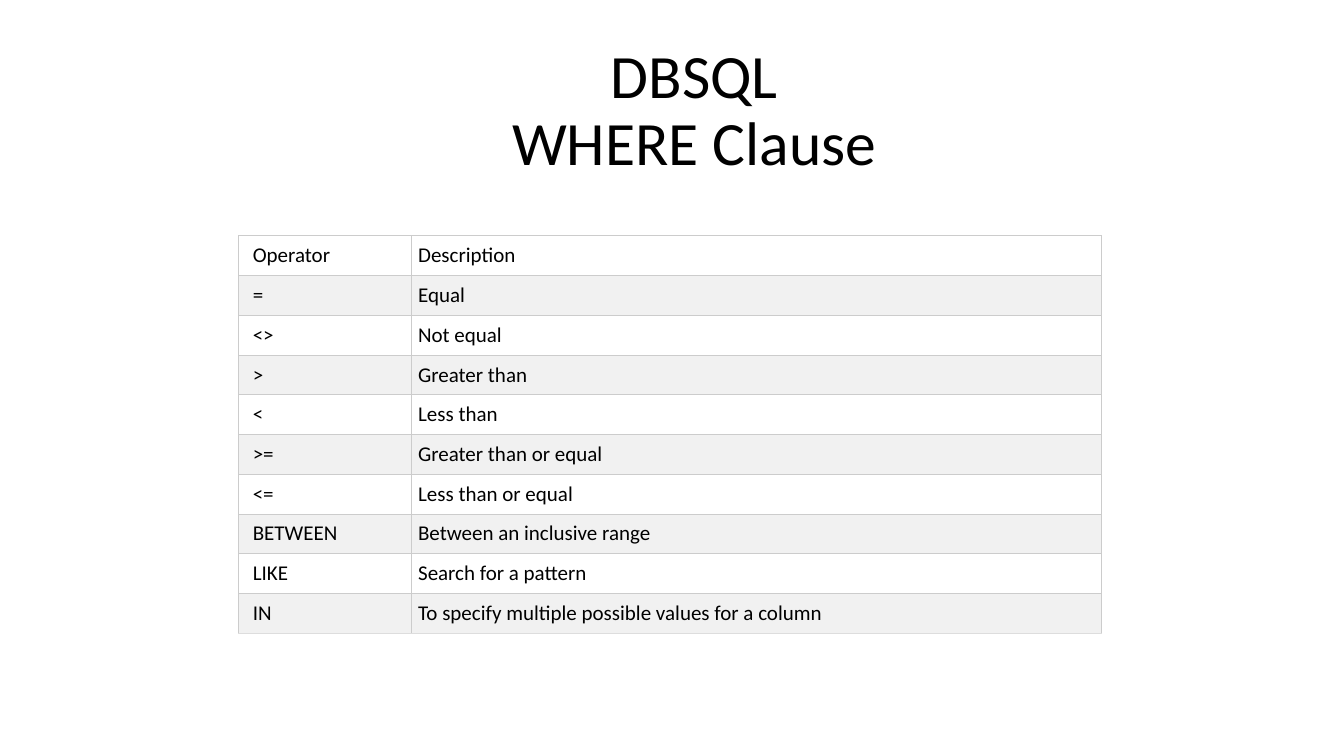
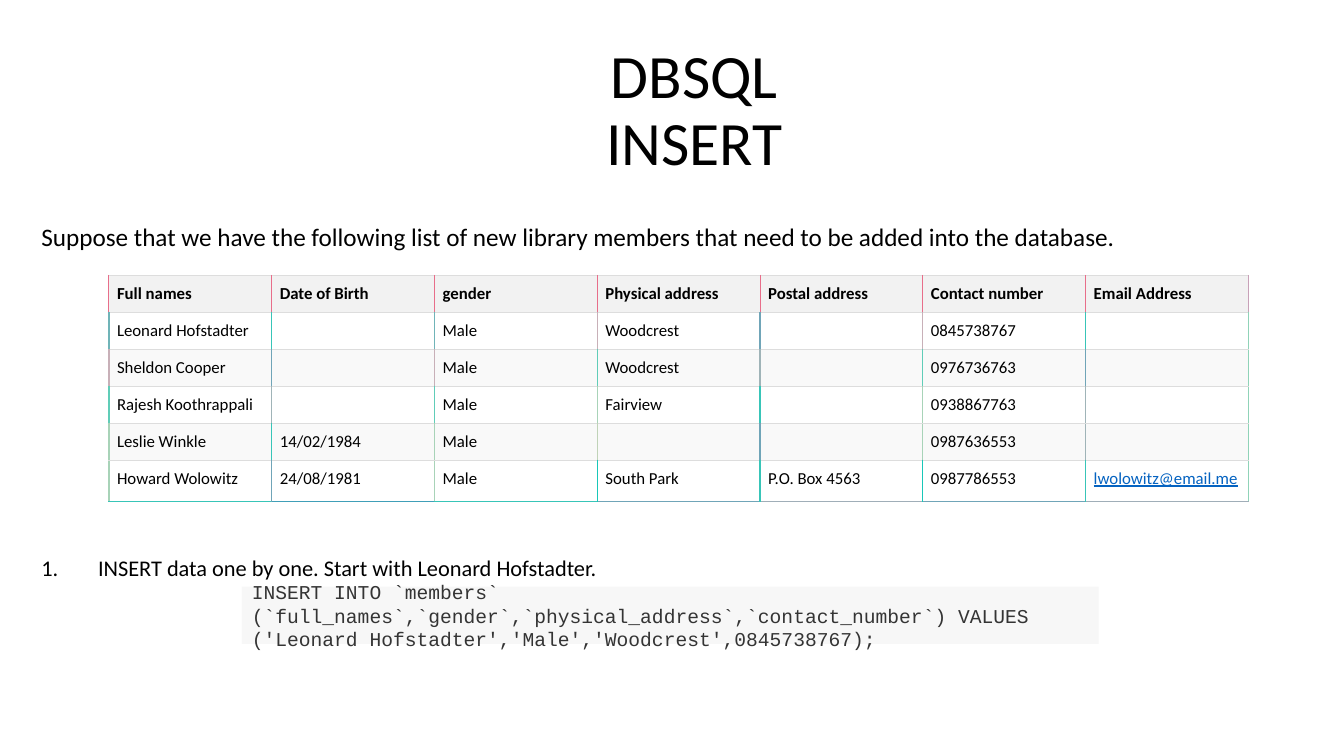
import pptx
import pptx.dml.color
import pptx.enum.shapes
import pptx.enum.text
import pptx.oxml.ns
import pptx.util
import lxml.etree

Pt = pptx.util.Pt
ANCHOR = pptx.enum.text.MSO_ANCHOR
ALIGN = pptx.enum.text.PP_ALIGN
qn = pptx.oxml.ns.qn

BLACK, WHITE = "000000", "FFFFFF"
PALE_GRID, GRID, PINK, LINK = "DDDDDD", "CCCCCC", "E86E8A", "0563C1"
THIN_LINES = {PALE_GRID, GRID, PINK}

OPERATORS = [
    ("Operator", "Description"),
    ("=", "Equal"),
    ("<>", "Not equal"),
    (">", "Greater than"),
    ("<", "Less than"),
    (">=", "Greater than or equal"),
    ("<=", "Less than or equal"),
    ("BETWEEN", "Between an inclusive range"),
    ("LIKE", "Search for a pattern"),
    ("IN", "To specify multiple possible values for a column"),
]

MEMBERS = [
    ("Full names", "Date of Birth", "gender", "Physical address",
     "Postal address", "Contact number", "Email Address"),
    ("Leonard Hofstadter", "", "Male", "Woodcrest", "", "0845738767", ""),
    ("Sheldon Cooper", "", "Male", "Woodcrest", "", "0976736763", ""),
    ("Rajesh Koothrappali", "", "Male", "Fairview", "", "0938867763", ""),
    ("Leslie Winkle", "14/02/1984", "Male", "", "", "0987636553", ""),
    ("Howard Wolowitz", "24/08/1981", "Male", "South Park",
     "P.O. Box 4563", "0987786553", "lwolowitz@email.me"),
]

MEMBER_UPRIGHTS = [
    [PINK] * 7 + ["C8A1B8"],
    "70B4B8 38C5B8 70B4B8 C8B0B8 70A5B8 C8B0B8 38C5B8 90D3B8".split(),
    "C8B0B8 70A5B8 C8B0B8 60CDB8 A0B4B8 60CDB8 70A5B8 90D3B8".split(),
    "60CDB8 A0B4B8 60CDB8 A8D3B8 38C5B8 A8D3B8 A0B4B8 90D3B8".split(),
    "A8D3B8 38C5B8 A8D3B8 C0D3B8 70A5B8 A8D3B8 A0B4B8 90D3B8".split(),
    "A8D3B8 70A5B8 A8D3B8 18C7B8 38C5B8 18C7B8 38C5B8 90D3B8".split(),
]
MEMBER_BASE = "38C5B8 409FB8 38C5B8 70A5B8 A0AEB8 70A5B8 A0AEB8".split()

INSERT_CODE = (
    "INSERT INTO `members` "
    "(`full_names`,`gender`,`physical_address`,`contact_number`) VALUES "
    "('Leonard Hofstadter','Male','Woodcrest',0845738767);"
)


def rgb(value):
    return pptx.dml.color.RGBColor.from_string(value)


def paint(target, value):
    target.fill.solid()
    target.fill.fore_color.rgb = rgb(value)


def write(para, text, size=18, font="Calibri", color=BLACK, bold=False,
          underline=False, align=ALIGN.LEFT, spacing=1.0, before=0):
    para.alignment = align
    para.line_spacing = spacing
    para.space_before = Pt(before)
    if not text:
        lxml.etree.SubElement(para._p, qn("a:endParaRPr"), sz=str(size * 100))
        return
    span = para.add_run()
    span.text = text
    span.font.name = font
    span.font.size = Pt(size)
    span.font.color.rgb = rgb(color)
    span.font.bold = bold
    span.font.underline = underline


def draw_border(cell, side, color):
    width = Pt(0.75 if color in THIN_LINES else 1)
    line = lxml.etree.SubElement(
        cell._tc.get_or_add_tcPr(), qn(f"a:ln{side}"), w=str(width))
    fill = lxml.etree.SubElement(line, qn("a:solidFill"))
    lxml.etree.SubElement(fill, qn("a:srgbClr"), val=color)


def set_marker(para, hanging=0):
    props = para._p.get_or_add_pPr()
    props.set("marL", str(Pt(hanging)))
    props.set("indent", str(Pt(-hanging)))
    if hanging:
        lxml.etree.SubElement(props, qn("a:buFont"), typeface="+mj-lt")
        lxml.etree.SubElement(props, qn("a:buAutoNum"), type="arabicPeriod")
    else:
        lxml.etree.SubElement(props, qn("a:buNone"))


class Lesson:
    def __init__(self):
        self.deck = pptx.Presentation()
        self.deck.slide_width = Pt(960)
        self.deck.slide_height = Pt(540)
        self.page = None

    def start(self, layout, *lines):
        self.page = self.deck.slides.add_slide(self.deck.slide_layouts[layout])
        frame = self.place(self.page.shapes.title, 134.6, 28.8, 722.9, 51.8)
        for number, text in enumerate(lines):
            para = frame.add_paragraph() if number else frame.paragraphs[0]
            write(para, text, size=44, align=ALIGN.CENTER, spacing=0.9)

    def place(self, box, left, top, width, height, anchor=ANCHOR.TOP):
        box.left, box.top = Pt(left), Pt(top)
        box.width, box.height = Pt(width), Pt(height)
        frame = box.text_frame
        frame.word_wrap = True
        frame.auto_size = pptx.enum.text.MSO_AUTO_SIZE.NONE
        frame.vertical_anchor = anchor
        return frame

    def body(self, intro, step, gap):
        frame = self.place(self.page.placeholders[1], 22.3, 157, 892.8, 365)
        para = frame.paragraphs[0]
        write(para, intro, spacing=0.9, before=10)
        set_marker(para)
        para = frame.add_paragraph()
        write(para, step, size=16, spacing=0.9, before=gap)
        set_marker(para, hanging=40.5)

    def table(self, left, top, widths, heights, rows, fills, uprights, levels,
              size, inset, first_inset, bold_header=False):
        holder = self.page.shapes.add_table(
            len(rows), len(widths), Pt(left), Pt(top),
            Pt(sum(widths)), Pt(sum(heights)))
        table = holder.table
        table.first_row = table.horz_banding = False
        for column, width in zip(table.columns, widths):
            column.width = Pt(width)
        for r, texts in enumerate(rows):
            table.rows[r].height = Pt(heights[r])
            for c, text in enumerate(texts):
                cell = table.cell(r, c)
                cell.margin_left = Pt(inset if c else first_inset)
                cell.margin_right = Pt(inset)
                cell.margin_top = cell.margin_bottom = Pt(inset)
                draw_border(cell, "L", uprights[r][c])
                draw_border(cell, "R", uprights[r][c + 1])
                draw_border(cell, "T", levels[r][c])
                draw_border(cell, "B", levels[r + 1][c])
                paint(cell, fills[r])
                is_link = "@" in text
                write(cell.text_frame.paragraphs[0], text, size=size,
                      color=LINK if is_link else BLACK, underline=is_link,
                      bold=bold_header and r == 0)

    def code(self, text, left, top, width, height):
        box = self.page.shapes.add_shape(
            pptx.enum.shapes.MSO_SHAPE.RECTANGLE, 0, 0, 0, 0)
        box.shadow.inherit = False
        paint(box, "F7F7F7")
        box.line.fill.background()
        frame = self.place(box, left, top, width, height, ANCHOR.MIDDLE)
        write(frame.paragraphs[0], text, size=14, font="Courier New",
              color="343434")


def main():
    lesson = Lesson()

    lesson.start(5, "DBSQL", "WHERE Clause")
    count = len(OPERATORS)
    lesson.table(
        170.6, 168.5, [123.1, 493.2], [28.2] * count, OPERATORS,
        fills=[WHITE, "F1F1F1"] * (count // 2),
        uprights=[[GRID] * 3] * count,
        levels=[[GRID] * 2] * count + [[PALE_GRID] * 2],
        size=15, inset=5, first_inset=10)

    lesson.start(1, "DBSQL", "INSERT")
    lesson.body(
        "Suppose that we have the following list of new library members "
        "that need to be added into the database.",
        "INSERT data one by one. Start with Leonard Hofstadter.", gap=218)
    count = len(MEMBERS)
    lesson.table(
        77.8, 196.6, [116.3] * 7, [26.4] * (count - 1) + [29.8], MEMBERS,
        fills=["F2F2F2", WHITE, "F9F9F9", WHITE, "F9F9F9", WHITE],
        uprights=MEMBER_UPRIGHTS,
        levels=[[PALE_GRID] * 7] * count + [MEMBER_BASE],
        size=12, inset=5.8, first_inset=5.8, bold_header=True)
    lesson.code(INSERT_CODE, 172.8, 419, 612, 41)

    lesson.deck.save("out.pptx")


if __name__ == "__main__":
    main()
